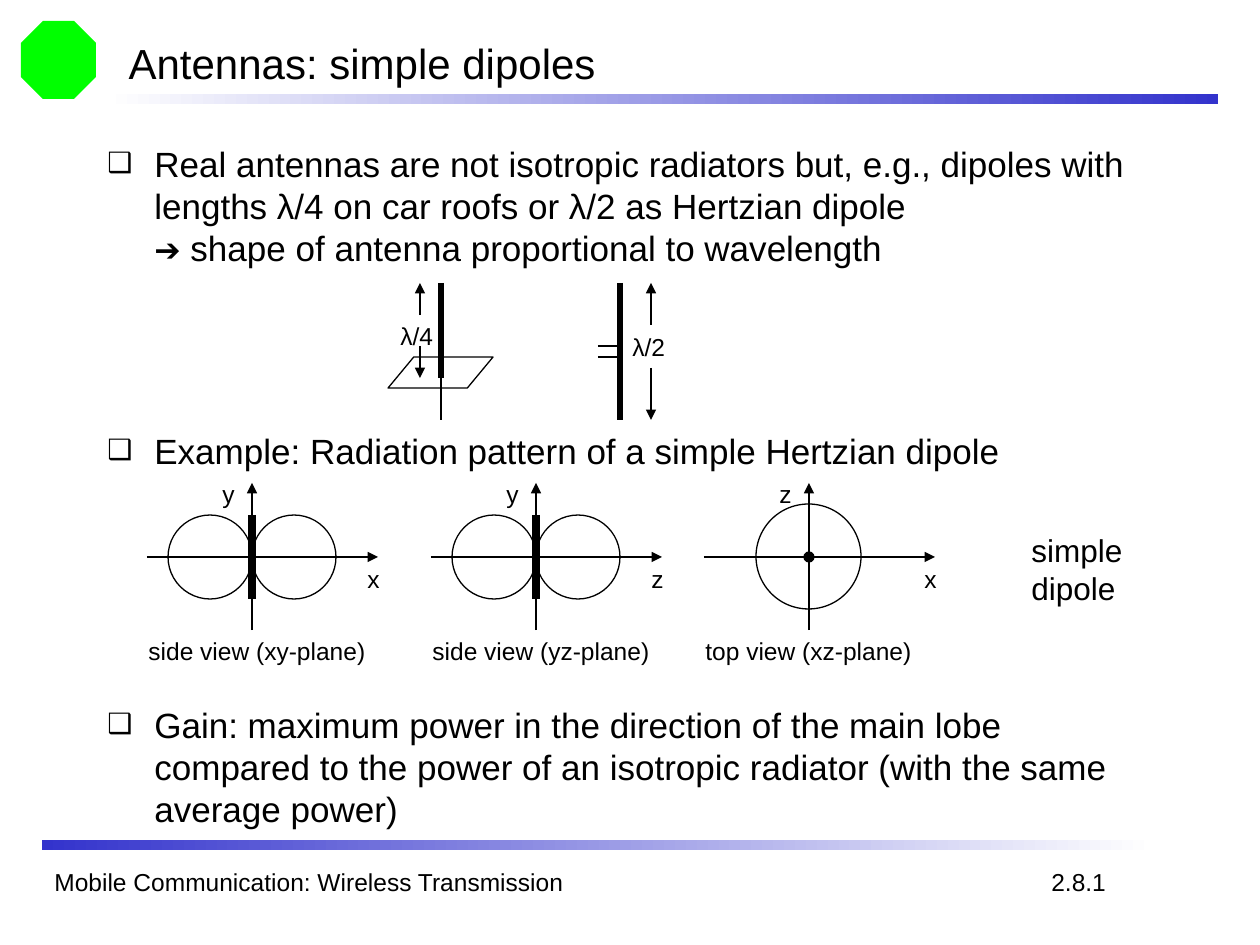
from lxml import etree
from pptx import Presentation
from pptx.dml.color import RGBColor
from pptx.enum.shapes import MSO_CONNECTOR, MSO_SHAPE
from pptx.enum.text import MSO_ANCHOR, PP_ALIGN
from pptx.oxml.ns import qn
from pptx.util import Emu, Pt

RECT, OVAL = MSO_SHAPE.RECTANGLE, MSO_SHAPE.OVAL
OCTAGON, PARALLELOGRAM = MSO_SHAPE.OCTAGON, MSO_SHAPE.PARALLELOGRAM
STRAIGHT = MSO_CONNECTOR.STRAIGHT
MIDDLE, LEFT = MSO_ANCHOR.MIDDLE, PP_ALIGN.LEFT
TITLE_ONLY = 5
FONT = "Arial"
BLACK, WHITE, BLUE, GREEN = "000000", "FFFFFF", "3333CC", "00FF00"
THIN = 0.75


def px(n):
    return Emu(round(n * 914400 / 126))


def rgb(value):
    return RGBColor.from_string(value)


def add_run(p, text, size):
    r = p.add_run()
    r.text = text
    r.font.name = FONT
    r.font.size = Pt(size)
    r.font.color.rgb = rgb(BLACK)


def add_text(s, x, y, w, h, lines, size=14):
    tf = s.shapes.add_textbox(px(x), px(y), px(w), px(h)).text_frame
    tf.word_wrap = True
    for i, line in enumerate(lines):
        p = tf.paragraphs[0] if i == 0 else tf.add_paragraph()
        add_run(p, line, size)


def add_shape(s, kind, x, y, w, h, fill=None, line=BLACK):
    sp = s.shapes.add_shape(kind, px(x), px(y), px(w), px(h))
    sp.shadow.inherit = False
    if fill:
        sp.fill.solid()
        sp.fill.fore_color.rgb = rgb(fill)
    else:
        sp.fill.background()
    if line:
        sp.line.color.rgb = rgb(line)
        sp.line.width = Pt(THIN)
    else:
        sp.line.fill.background()
    return sp


def add_bar(s, x, y, colors):
    sp = add_shape(s, RECT, x, y, 1113, 10, line=None)
    sp.fill.gradient()
    sp.fill.gradient_angle = 0
    for stop, color, position in zip(sp.fill.gradient_stops, colors, (0, 1)):
        stop.color.rgb = rgb(color)
        stop.position = position


def add_line(s, x1, y1, x2, y2, width=THIN, arrow=False):
    c = s.shapes.add_connector(STRAIGHT, px(x1), px(y1), px(x2), px(y2))
    c.line.color.rgb = rgb(BLACK)
    c.line.width = Pt(width)
    if arrow:
        ln = c.line._get_or_add_ln()
        etree.SubElement(ln, qn("a:tailEnd"), type="triangle")
    etree.SubElement(c._element.spPr, qn("a:effectLst"))


def set_bullet(p):
    pPr = p._p.get_or_add_pPr()
    pPr.set("marL", str(px(47)))
    pPr.set("indent", str(-px(47)))
    color = etree.SubElement(pPr, qn("a:buClr"))
    etree.SubElement(color, qn("a:srgbClr"), val=BLACK)
    etree.SubElement(pPr, qn("a:buSzPct"), val="80000")
    etree.SubElement(pPr, qn("a:buFont"), typeface=FONT)
    etree.SubElement(pPr, qn("a:buChar"), char="❑")


def add_title(s, text):
    sp = s.shapes.title
    sp.left, sp.top, sp.width, sp.height = px(116), px(31), px(1071), px(63)
    tf = sp.text_frame
    tf.vertical_anchor = MIDDLE
    p = tf.paragraphs[0]
    p.alignment = LEFT
    add_run(p, text, 24)


def add_body(s, items):
    tf = s.shapes.add_textbox(px(95), px(136), px(1071), px(704)).text_frame
    tf.word_wrap = True
    for i, (space, lines) in enumerate(items):
        p = tf.paragraphs[0] if i == 0 else tf.add_paragraph()
        p.space_before = Pt(space)
        set_bullet(p)
        for j, runs in enumerate(lines):
            if j:
                p.add_line_break()
            for text, size in runs:
                add_run(p, text, size)


def add_axes(s, cx, cy, up, right, caption):
    add_line(s, cx, cy + 73, cx, cy - 74, arrow=True)
    add_line(s, cx - 105, cy, cx + 126, cy, arrow=True)
    add_text(s, cx - 42, cy - 84, 38, 43, [up])
    add_text(s, cx + 103, cy + 1, 38, 43, [right])
    add_text(s, cx - 116, cy + 73, 260, 43, [caption])


def add_side_view(s, cx, cy, up, right, caption):
    add_axes(s, cx, cy, up, right, caption)
    for x in (cx - 84, cx):
        add_shape(s, OVAL, x, cy - 42, 84, 84)
    add_line(s, cx, cy - 42, cx, cy + 42, 4.5)


def add_top_view(s, cx, cy, up, right, caption):
    add_axes(s, cx, cy, up, right, caption)
    add_shape(s, OVAL, cx - 53, cy - 53, 105, 105)
    add_shape(s, OVAL, cx - 5, cy - 5, 10, 10, fill=BLACK)


def add_quarter_wave(s):
    roof = add_shape(s, PARALLELOGRAM, 388, 357, 105, 31)
    roof.adjustments[0] = 0.83
    add_text(s, 388, 315, 63, 43, ["λ/4"])
    add_line(s, 441, 283, 441, 378, 3)
    add_line(s, 441, 378, 441, 420)
    add_line(s, 420, 315, 420, 283, arrow=True)
    add_line(s, 420, 346, 420, 378, arrow=True)


def add_half_wave(s):
    add_line(s, 620, 283, 620, 420, 3)
    for y in (346, 357):
        add_line(s, 598, y, 620, y)
    add_text(s, 620, 326, 63, 43, ["λ/2"])
    add_line(s, 651, 325, 651, 283, arrow=True)
    add_line(s, 651, 368, 651, 420, arrow=True)


def main():
    prs = Presentation()
    prs.slide_width, prs.slide_height = px(1260), px(945)
    s = prs.slides.add_slide(prs.slide_layouts[TITLE_ONLY])
    add_shape(s, OCTAGON, 21, 21, 75, 78, fill=GREEN, line=None)
    add_bar(s, 105, 94, (WHITE, BLUE))
    add_bar(s, 42, 840, (BLUE, WHITE))
    add_title(s, "Antennas: simple dipoles")
    add_body(s, [
        (5, [[("Real antennas are not isotropic radiators but, e.g., dipoles with "
               "lengths λ/4 on car roofs or λ/2 as Hertzian dipole", 20)],
             [("➔", 18), (" shape of antenna proportional to wavelength", 20)]]),
        (92, [[("Example: Radiation pattern of a simple Hertzian dipole", 20)]]),
        (132.6, [[("Gain: maximum power in the direction of the main lobe compared to "
                   "the power of an isotropic radiator (with the same average power)", 20)]]),
    ])
    add_side_view(s, 252, 557, "y", "x", "side view (xy-plane)")
    add_side_view(s, 536, 557, "y", "z", "side view (yz-plane)")
    add_top_view(s, 809, 557, "z", "x", "top view (xz-plane)")
    add_text(s, 1019, 525, 130, 88, ["simple", "dipole"], 18)
    add_quarter_wave(s)
    add_half_wave(s)
    add_text(s, 42, 861, 620, 42, ["Mobile Communication: Wireless Transmission"])
    add_text(s, 1039, 861, 100, 43, ["2.8.1"])
    prs.save("out.pptx")


if __name__ == "__main__":
    main()
